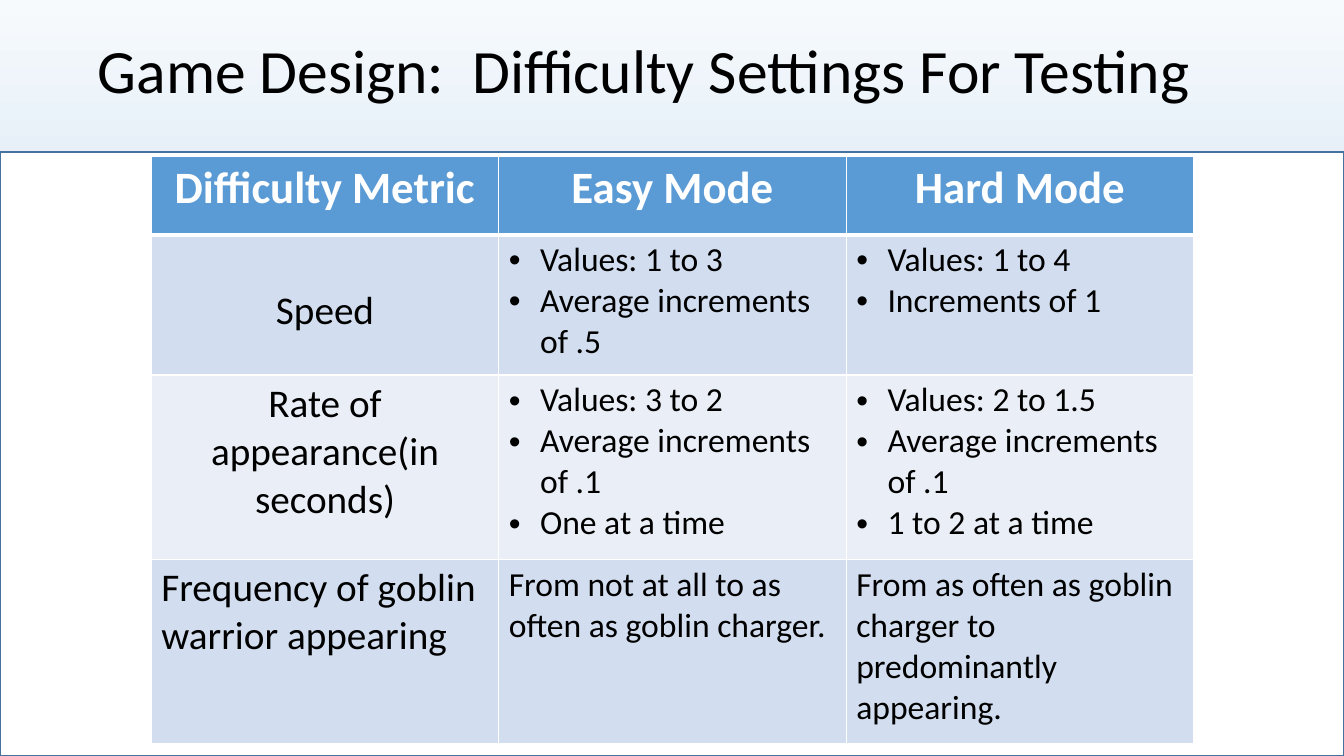
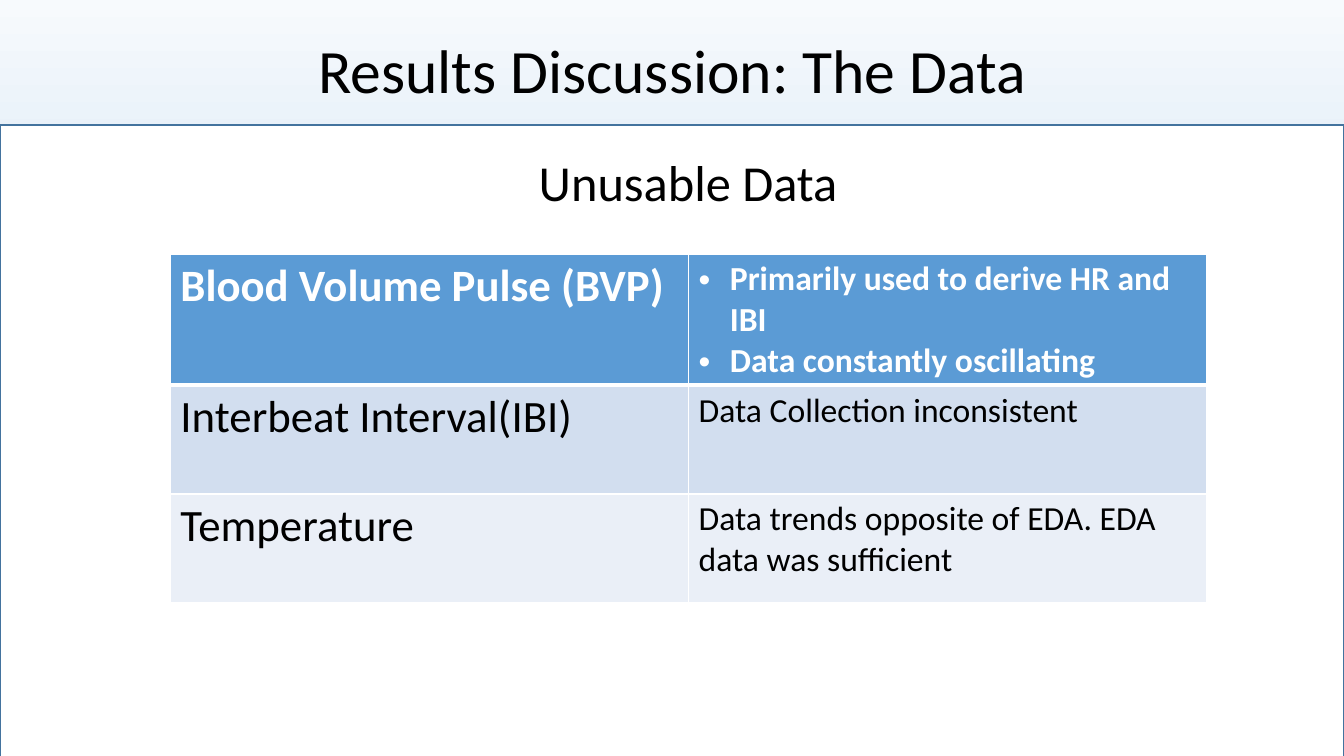
from lxml import etree
from pptx import Presentation
from pptx import util as u
from pptx.dml import color as colors
from pptx.enum import shapes, text
from pptx.oxml import ns

FONT = "Calibri"
BLACK, WHITE = "000000", "FFFFFF"
HEADER, BANDS = "5B9BD5", ("D2DEEF", "EAEFF7")
PANEL_LINE = "43739E"
GRADIENT = ((0, "F7FAFD"), (74, "B5D2EC"), (83, "B5D2EC"), (100, "CEE1F2"))
WIDTH, HEIGHT = 13.33, 7.5
TITLE_WIDTH, TITLE_HEIGHT = 11.5, 1.45
HANG = 0.31
LEFT, CENTER = text.PP_ALIGN.LEFT, text.PP_ALIGN.CENTER
TOP, MIDDLE = text.MSO_ANCHOR.TOP, text.MSO_ANCHOR.MIDDLE


def rgb(value):
    return colors.RGBColor.from_string(value)


def child(parent, tag, **attributes):
    return etree.SubElement(parent, ns.qn(tag), attributes)


def inches(*lengths):
    return [u.Inches(length) for length in lengths]


def write(frame, content, size, color=BLACK, bold=False, align=LEFT,
          anchor=TOP, line_spacing=None):
    """Fill a text frame; a list becomes bullets, a string one paragraph."""
    bulleted = isinstance(content, list)
    frame.vertical_anchor = anchor
    for index, line in enumerate(content if bulleted else [content]):
        paragraph = frame.add_paragraph() if index else frame.paragraphs[0]
        paragraph.alignment = align
        if line_spacing:
            paragraph.line_spacing = line_spacing
        if bulleted:
            properties = paragraph._p.get_or_add_pPr()
            properties.set("marL", str(u.Inches(HANG)))
            properties.set("indent", str(-u.Inches(HANG)))
            child(properties, "a:buFont", typeface="Arial")
            child(properties, "a:buChar", char="•")
        run = paragraph.add_run()
        run.text = line
        run.font.name, run.font.size = FONT, u.Pt(size)
        run.font.bold, run.font.color.rgb = bold, rgb(color)


def set_background(master):
    """Give every slide the same vertical gradient."""
    fill = master.background.fill
    fill.gradient()
    fill.gradient_angle = 270
    stops = master.element.find(".//" + ns.qn("a:gsLst"))
    for stop in list(stops):
        stops.remove(stop)
    for position, color in GRADIENT:
        stop = child(stops, "a:gs", pos=str(position * 1000))
        child(stop, "a:srgbClr", val=color)


def add_base(presentation, title, title_left, title_align, panel_top, panel_height):
    """Start a slide with its title and the white panel below it."""
    slide = presentation.slides.add_slide(presentation.slide_layouts[5])
    heading = slide.shapes.title
    heading.left, heading.top, heading.width, heading.height = inches(
        title_left, 0, TITLE_WIDTH, TITLE_HEIGHT)
    heading.text_frame.auto_size = text.MSO_AUTO_SIZE.NONE
    write(heading.text_frame, title, 44, align=title_align, anchor=MIDDLE,
          line_spacing=0.9)

    panel = slide.shapes.add_shape(
        shapes.MSO_SHAPE.RECTANGLE, *inches(0, panel_top, WIDTH, panel_height))
    panel.shadow.inherit = False
    panel.fill.solid()
    panel.fill.fore_color.rgb = rgb(WHITE)
    panel.line.color.rgb = rgb(PANEL_LINE)
    panel.line.width = u.Pt(1)
    return slide


def set_borders(cell, top, bottom):
    """Draw white cell edges, with top and bottom widths in points."""
    properties = cell._tc.get_or_add_tcPr()
    edges = (("L", 1), ("R", 1), ("T", top), ("B", bottom))
    for index, (side, width) in enumerate(edges):
        line = child(properties, "a:ln" + side, w=str(u.Pt(width)))
        child(child(line, "a:solidFill"), "a:srgbClr", val=WHITE)
        properties.insert(index, line)


def add_grid(slide, box, row_heights, rows, cell_format):
    """Add a banded table; cell_format(row, column) gives text options."""
    left, top, width = box
    columns = len(rows[0])
    table = slide.shapes.add_table(
        len(rows), columns, *inches(left, top, width, sum(row_heights))).table
    for column in table.columns:
        column.width = u.Inches(width / columns)
    for r, (height, row) in enumerate(zip(row_heights, rows)):
        table.rows[r].height = u.Inches(height)
        for c, content in enumerate(row):
            cell = table.cell(r, c)
            cell.fill.solid()
            cell.fill.fore_color.rgb = rgb(BANDS[(r - 1) % 2] if r else HEADER)
            set_borders(cell, top=3 if r == 1 else 1, bottom=1 if r else 3)
            options = {"color": BLACK if r else WHITE, "bold": r == 0}
            options.update(cell_format(r, c))
            cell.vertical_anchor = options.pop("anchor", TOP)
            cell.margin_top = u.Inches(options.pop("margin_top", 0.05))
            write(cell.text_frame, content, anchor=cell.vertical_anchor, **options)


def difficulty_format(row, column):
    if row == 0:
        return {"size": 32, "align": CENTER}
    if column:
        return {"size": 24}
    options = {"size": 28, "align": LEFT if row == 3 else CENTER}
    if row == 1:
        options.update(anchor=MIDDLE, margin_top=0.18)
    return options


def data_format(row, column):
    return {"size": 24 if column else 32}


def difficulty_slide(presentation):
    slide = add_base(presentation, "Game Design:  Difficulty Settings For Testing",
                     0.87, LEFT, 1.51, 5.99)
    rows = [
        ["Difficulty Metric", "Easy Mode", "Hard Mode"],
        ["Speed",
         ["Values: 1 to 3", "Average increments of .5"],
         ["Values: 1 to 4", "Increments of 1"]],
        ["Rate of appearance(in seconds)",
         ["Values: 3 to 2", "Average increments of .1", "One at a time"],
         ["Values: 2 to 1.5", "Average increments of .1", "1 to 2 at a time"]],
        ["Frequency of goblin warrior appearing",
         "From not at all to as often as goblin charger.",
         "From as often as goblin charger to predominantly appearing."],
    ]
    add_grid(slide, (1.5, 1.55, 10.34), (0.78, 1.39, 1.83, 1.83), rows,
             difficulty_format)


def results_slide(presentation):
    slide = add_base(presentation, "Results Discussion: The Data",
                     0.92, CENTER, 1.24, 6.29)
    # Subheading centred over the table
    subheading = slide.shapes.add_textbox(*inches(5.23, 1.45, 3.19, 0.71))
    subheading.text_frame.word_wrap = False
    write(subheading.text_frame, "Unusable Data", 36, align=CENTER)
    rows = [
        ["Blood Volume Pulse (BVP)",
         ["Primarily used to derive HR and IBI", "Data constantly oscillating"]],
        ["Interbeat Interval(IBI)", "Data Collection inconsistent"],
        ["Temperature", "Data trends opposite of EDA. EDA data was sufficient"],
    ]
    add_grid(slide, (1.69, 2.52, 10.28), (1.3, 1.08, 1.08), rows, data_format)


def main():
    presentation = Presentation()
    presentation.slide_width, presentation.slide_height = inches(WIDTH, HEIGHT)
    set_background(presentation.slide_master)
    difficulty_slide(presentation)
    results_slide(presentation)
    presentation.save("out.pptx")


if __name__ == "__main__":
    main()
